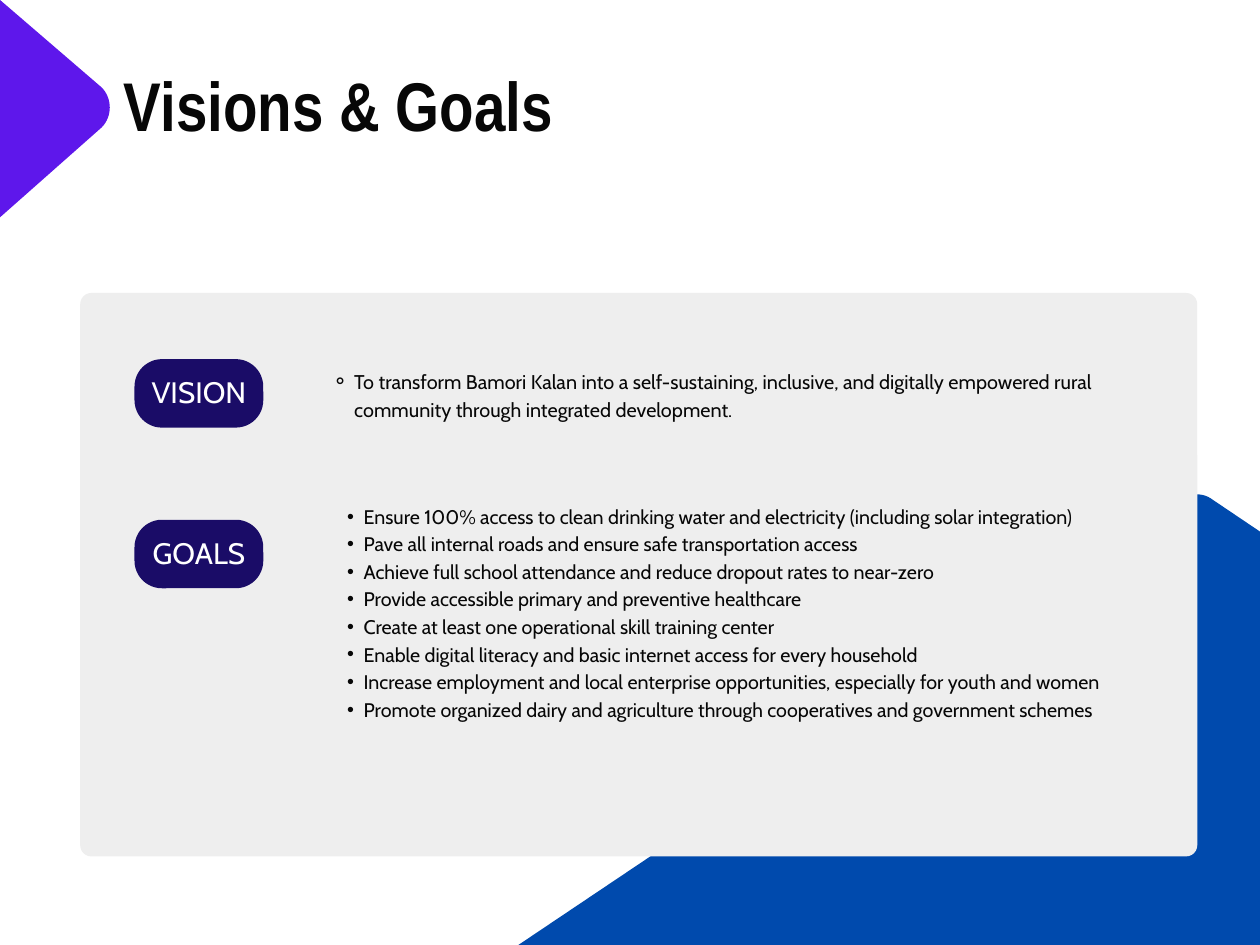
from dataclasses import dataclass

from lxml.etree import SubElement
from pptx import Presentation
from pptx.dml.color import RGBColor
from pptx.enum.shapes import MSO_SHAPE
from pptx.enum.text import MSO_ANCHOR, PP_ALIGN
from pptx.oxml.ns import qn
from pptx.util import Inches, Pt


@dataclass(frozen=True)
class Theme:
    ink: str = "070707"
    white: str = "FFFFFF"
    panel: str = "EEEEEE"
    pill: str = "1A0C67"
    blue: str = "004AAD"
    violet: str = "5E17EB"
    head: str = "Arial Narrow"
    body: str = "Cabin"
    title: float = 42
    label: float = 18
    text: float = 12
    lead: float = 1.4


THEME = Theme()
WIDTH, HEIGHT = Inches(10.67), Inches(8)

TITLE = "Visions & Goals"
VISION = [
    "To transform Bamori Kalan into a self-sustaining, inclusive, and digitally "
    "empowered rural community through integrated development.",
]
GOALS = [
    "Ensure 100% access to clean drinking water and electricity (including solar integration)",
    "Pave all internal roads and ensure safe transportation access",
    "Achieve full school attendance and reduce dropout rates to near-zero",
    "Provide accessible primary and preventive healthcare",
    "Create at least one operational skill training center",
    "Enable digital literacy and basic internet access for every household",
    "Increase employment and local enterprise opportunities, especially for youth and women",
    "Promote organized dairy and agriculture through cooperatives and government schemes",
]

# All places are percent of the slide's width and height.
PANEL = (6.37, 31, 88.66, 59.63)
HEADING = (9.84, 8.13, 74.04, 7.63)
PILL_X, PILL_W, PILL_H = 10.68, 10.22, 7.25
SECTIONS = [
    dict(label="VISION", row=38, lines=VISION, area=(22.77, 38.75, 69.63, 5.63),
         mark="⚬", level=2, indent=0.57, hang=0.19, size=THEME.text + 0.1),
    dict(label="GOALS", row=55, lines=GOALS, area=(26.24, 53, 62.89, 34.25),
         mark="•", level=1, indent=0.28, hang=0.14, size=THEME.text),
]
# Start points, four control points of the rounded tip, end points.
HILL = ([(41.14, 100)],
        [(93.81, 52.88), (94.56, 52.13), (95.5, 52.13), (96.25, 52.88)],
        [(100, 56.25), (100, 100)])
ARROW = ([(0, 0)],
         [(8.06, 9.25), (8.93, 10.38), (8.93, 12.38), (8.06, 13.5)],
         [(0, 23)])


def place(*shares):
    """Turn percent pairs into lengths, widthwise and heightwise in turn."""
    return [int(s * (HEIGHT if i % 2 else WIDTH) / 100) for i, s in enumerate(shares)]


def paint(shape, color):
    shape.shadow.inherit = False
    shape.fill.solid()
    shape.fill.fore_color.rgb = RGBColor.from_string(color)
    shape.line.fill.background()


def curve(ctrl, steps=16):
    """Sample a cubic Bezier curve."""
    a, b, c, d = ctrl
    for i in range(steps + 1):
        t = i / steps
        u = 1 - t
        yield tuple(u**3 * p + 3 * u * u * t * q + 3 * u * t * t * r + t**3 * s
                    for p, q, r, s in zip(a, b, c, d))


def wedge(slide, outline, color):
    start, tip, end = outline
    pts = [place(*pt) for pt in [*start, *curve(tip), *end]]
    form = slide.shapes.build_freeform(*pts[0])
    form.add_line_segments(pts[1:], close=True)
    paint(form.convert_to_shape(), color)


def block(slide, area, color, round_by):
    shape = slide.shapes.add_shape(MSO_SHAPE.ROUNDED_RECTANGLE, *place(*area))
    shape.adjustments[0] = round_by
    paint(shape, color)
    return shape


def write(para, text, size, font, color, lead, bold=False):
    para.line_spacing = Pt(size * lead)
    run = para.add_run()
    run.text = text
    run.font.size = Pt(size)
    run.font.name = font
    run.font.bold = bold
    run.font.color.rgb = RGBColor.from_string(color)


def text_box(slide, area):
    frame = slide.shapes.add_textbox(*place(*area)).text_frame
    frame.word_wrap = True
    frame.margin_left = frame.margin_right = 0
    frame.margin_top = frame.margin_bottom = 0
    return frame


def bullet(para, mark, level, indent, hang):
    para.level = level
    props = para._p.get_or_add_pPr()
    props.set("marL", str(Inches(indent)))
    props.set("indent", str(-Inches(hang)))
    SubElement(props, qn("a:buFont")).set("typeface", "Arial")
    SubElement(props, qn("a:buChar")).set("char", mark)


def section(slide, item):
    pill = block(slide, (PILL_X, item["row"], PILL_W, PILL_H), THEME.pill, 0.4)
    frame = pill.text_frame
    frame.vertical_anchor = MSO_ANCHOR.MIDDLE
    frame.margin_left = frame.margin_right = Inches(0.06)
    frame.margin_top, frame.margin_bottom = 0, Inches(0.08)
    para = frame.paragraphs[0]
    para.alignment = PP_ALIGN.CENTER
    write(para, item["label"], THEME.label, THEME.body, THEME.white, THEME.lead)

    frame = text_box(slide, item["area"])
    for i, line in enumerate(item["lines"]):
        para = frame.add_paragraph() if i else frame.paragraphs[0]
        bullet(para, item["mark"], item["level"], item["indent"], item["hang"])
        write(para, line, item["size"], THEME.body, THEME.ink, THEME.lead)


def main():
    deck = Presentation()
    deck.slide_width, deck.slide_height = WIDTH, HEIGHT
    slide = deck.slides.add_slide(deck.slide_layouts[6])
    wedge(slide, HILL, THEME.blue)
    block(slide, PANEL, THEME.panel, 0.02)
    for item in SECTIONS:
        section(slide, item)
    para = text_box(slide, HEADING).paragraphs[0]
    write(para, TITLE, THEME.title, THEME.head, THEME.ink, 1, bold=True)
    wedge(slide, ARROW, THEME.violet)
    deck.save("out.pptx")


if __name__ == "__main__":
    main()
